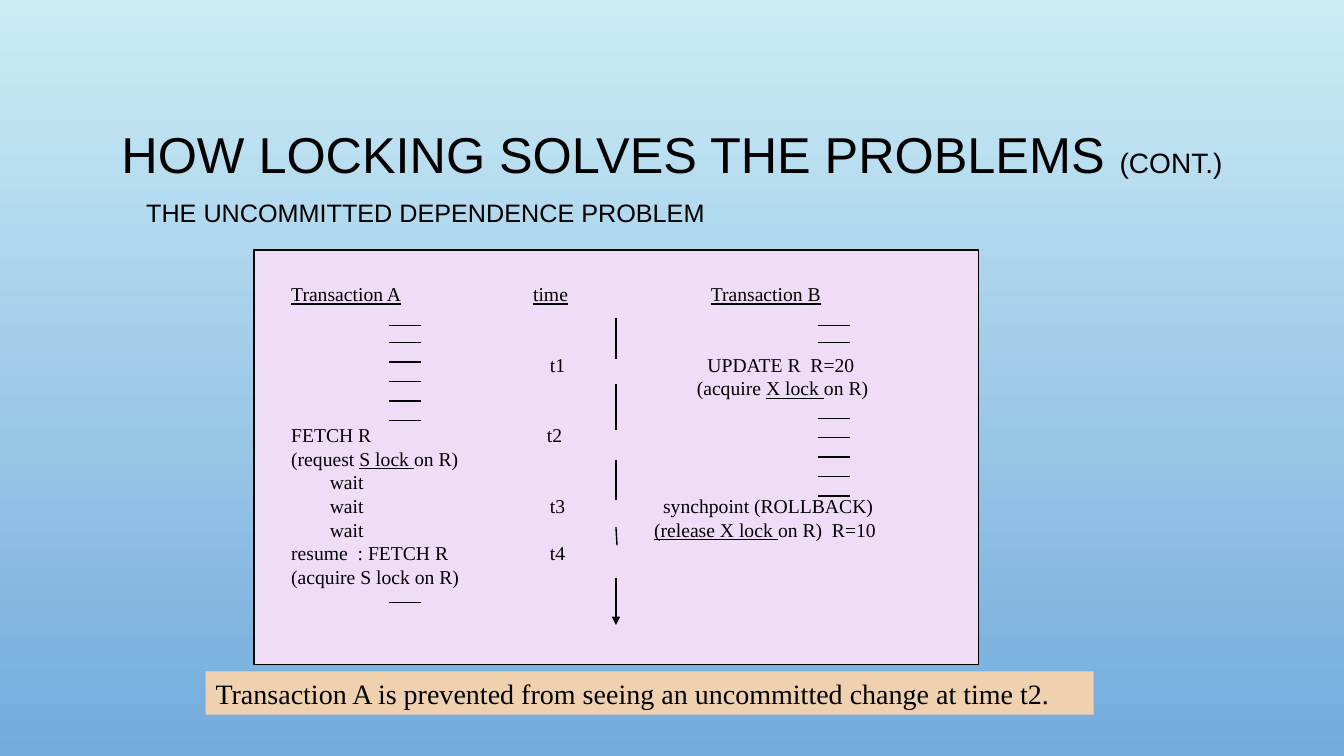
"""Build a slide on how locking solves the uncommitted dependence problem."""
from dataclasses import dataclass

from lxml import etree
from pptx import Presentation, util as u
from pptx.dml.color import RGBColor
from pptx.enum import shapes, text
from pptx.oxml.ns import qn

TITLE = ["HOW LOCKING SOLVES THE PROBLEMS ", "(CONT.)"]
SUBTITLE = "THE UNCOMMITTED DEPENDENCE PROBLEM"
CONCLUSION = "Transaction A is prevented from seeing an uncommitted change at time t2."

# Each step: rows skipped above, text at the left edge, then (column, text); _underlined_
SCHEDULE = [
    (0, "_Transaction A_", [(39.68, "_time_"), (52.9, "_Transaction B_")]),
    (2, "", [(40.93, "t1"), (52.65, "UPDATE R  R=20")]),
    (0, "", [(51.86, "(acquire _X lock _on R)")]),
    (1, "FETCH R", [(40.7, "t2")]),
    (0, "(request _S lock _on R)", []),
    (0, "", [(24.55, "wait")]),
    (0, "", [(24.55, "wait"), (40.93, "t3"), (49.35, "synchpoint (ROLLBACK)")]),
    (0, "", [(24.55, "wait"), (48.68, "_(release X lock _on R)  R=10")]),
    (0, "resume  : FETCH R", [(40.93, "t4")]),
    (0, "(acquire S lock on R)", []),
]

TITLE_AREA = (7.5, 9.07, 85, 23.33)
SUBTITLE_AREA = (2.63, 24.67, 74.5, 7.33)
PANEL_AREA = (18.9, 33.07, 53.93, 54.8)
SCHEDULE_AREA = (20.93, 36.67, 54.38, 48.4)
CONCLUSION_AREA = (15.3, 88.8, 66.08, 5.73)

DASH_WIDTH, DASH_STEP = 2.4, 2.57
DASHES = {
    28.95: [43.07, *(45.33 + DASH_STEP * i for i in range(5)), 79.73],
    60.83: [43.07, 45.33, *(55.33 + DASH_STEP * i for i in range(5))],
}
TIME_COLUMN = 45.83
TIME_SEGMENTS = [(42, 47.47, 0), (50.8, 56.93, 0), (60.8, 66.13, 0),
                 (69.73, 72.13, 0.08), (76.4, 82.67, 0)]


@dataclass(frozen=True)
class Theme:
    sans: str = "Arial"
    serif: str = "Times New Roman"
    ink: str = "000000"
    sky: tuple = ("CBECF5", "73ABDD")
    panel: str = "EFDCF7"
    banner: str = "EFD1AF"
    title: int = 36
    suffix: int = 20
    subtitle: int = 18
    schedule: int = 14
    schedule_row: float = 16.8
    conclusion: int = 20
    line: int = 1
    inset: float = 0.1


THEME = Theme()
deck = Presentation()
deck.slide_width, deck.slide_height = u.Inches(13.33), u.Inches(7.5)
slide = deck.slides.add_slide(deck.slide_layouts[6])


def across(share):
    return round(deck.slide_width * share / 100)


def down(share):
    return round(deck.slide_height * share / 100)


def place(area):
    left, top, width, height = area
    return across(left), down(top), across(width), down(height)


def add_words(paragraph, words, size, face, underline=False):
    run = paragraph.add_run()
    run.text = words
    run.font.size, run.font.name = u.Pt(size), face
    run.font.color.rgb = RGBColor.from_string(THEME.ink)
    run.font.underline = underline


def add_frame(area):
    frame = slide.shapes.add_textbox(*place(area)).text_frame
    frame.word_wrap = True
    return frame


def add_block(area, fill, outlined):
    block = slide.shapes.add_shape(shapes.MSO_SHAPE.RECTANGLE, *place(area))
    block.shadow.inherit = False
    block.fill.solid()
    block.fill.fore_color.rgb = RGBColor.from_string(fill)
    if outlined:
        block.line.color.rgb = RGBColor.from_string(THEME.ink)
        block.line.width = u.Pt(THEME.line)
    else:
        block.line.fill.background()
    return block


def add_stroke(x1, y1, x2, y2, arrow=False):
    stroke = slide.shapes.add_connector(
        shapes.MSO_CONNECTOR.STRAIGHT, across(x1), down(y1), across(x2), down(y2))
    stroke.line.color.rgb = RGBColor.from_string(THEME.ink)
    stroke.line.width = u.Pt(THEME.line)
    if arrow:
        etree.SubElement(stroke.line._get_or_add_ln(), qn("a:tailEnd"), type="triangle")
    etree.SubElement(stroke._element.spPr, qn("a:effectLst"))


def add_step(paragraph, skipped, opening, cells):
    paragraph.line_spacing = u.Pt(THEME.schedule_row)
    paragraph.space_before = u.Pt(skipped * THEME.schedule_row)
    if cells:
        stops = etree.SubElement(paragraph._p.get_or_add_pPr(), qn("a:tabLst"))
        for column, _ in cells:
            offset = across(column - SCHEDULE_AREA[0]) - u.Inches(THEME.inset)
            etree.SubElement(stops, qn("a:tab"), pos=str(offset), algn="l")
    row = "\t".join([opening, *(words for _, words in cells)])
    for index, words in enumerate(row.split("_")):
        if words:
            add_words(paragraph, words, THEME.schedule, THEME.serif, index % 2 == 1)


def main():
    sky = slide.background.fill
    sky.gradient()
    sky.gradient_angle = 270
    for stop, colour, position in zip(sky.gradient_stops, THEME.sky, (0, 1)):
        stop.color.rgb = RGBColor.from_string(colour)
        stop.position = position

    title = add_frame(TITLE_AREA)
    title.vertical_anchor = text.MSO_ANCHOR.MIDDLE
    heading = title.paragraphs[0]
    heading.alignment, heading.line_spacing = text.PP_ALIGN.CENTER, 0.9
    for words, size in zip(TITLE, (THEME.title, THEME.suffix)):
        add_words(heading, words, size, THEME.sans)

    subtitle = add_frame(SUBTITLE_AREA)
    subtitle.margin_left = u.Inches(1 + THEME.inset)
    problem = subtitle.paragraphs[0]
    problem.line_spacing, problem.space_before = 1.2, u.Pt(5)
    add_words(problem, SUBTITLE, THEME.subtitle, THEME.sans)

    add_block(PANEL_AREA, THEME.panel, outlined=True)
    schedule = add_frame(SCHEDULE_AREA)
    for index, step in enumerate(SCHEDULE):
        add_step(schedule.add_paragraph() if index else schedule.paragraphs[0], *step)

    for column, rows in DASHES.items():
        for row in rows:
            add_stroke(column, row, column + DASH_WIDTH, row)
    for segment in TIME_SEGMENTS:
        start, end, lean = segment
        add_stroke(TIME_COLUMN, start, TIME_COLUMN + lean, end,
                   arrow=segment == TIME_SEGMENTS[-1])

    conclusion = add_block(CONCLUSION_AREA, THEME.banner, outlined=False).text_frame
    conclusion.word_wrap = True
    conclusion.vertical_anchor = text.MSO_ANCHOR.TOP
    conclusion.paragraphs[0].alignment = text.PP_ALIGN.LEFT
    add_words(conclusion.paragraphs[0], CONCLUSION, THEME.conclusion, THEME.serif)

    deck.save("out.pptx")


if __name__ == "__main__":
    main()
